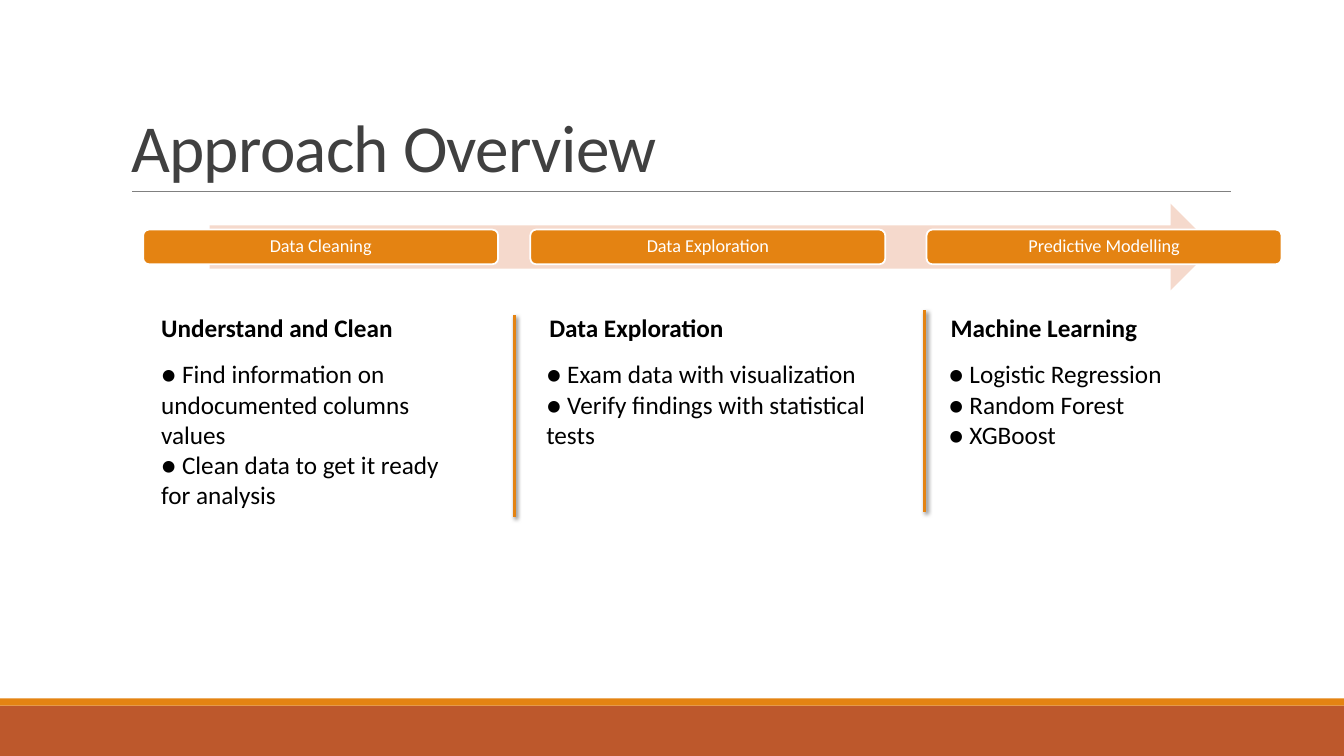
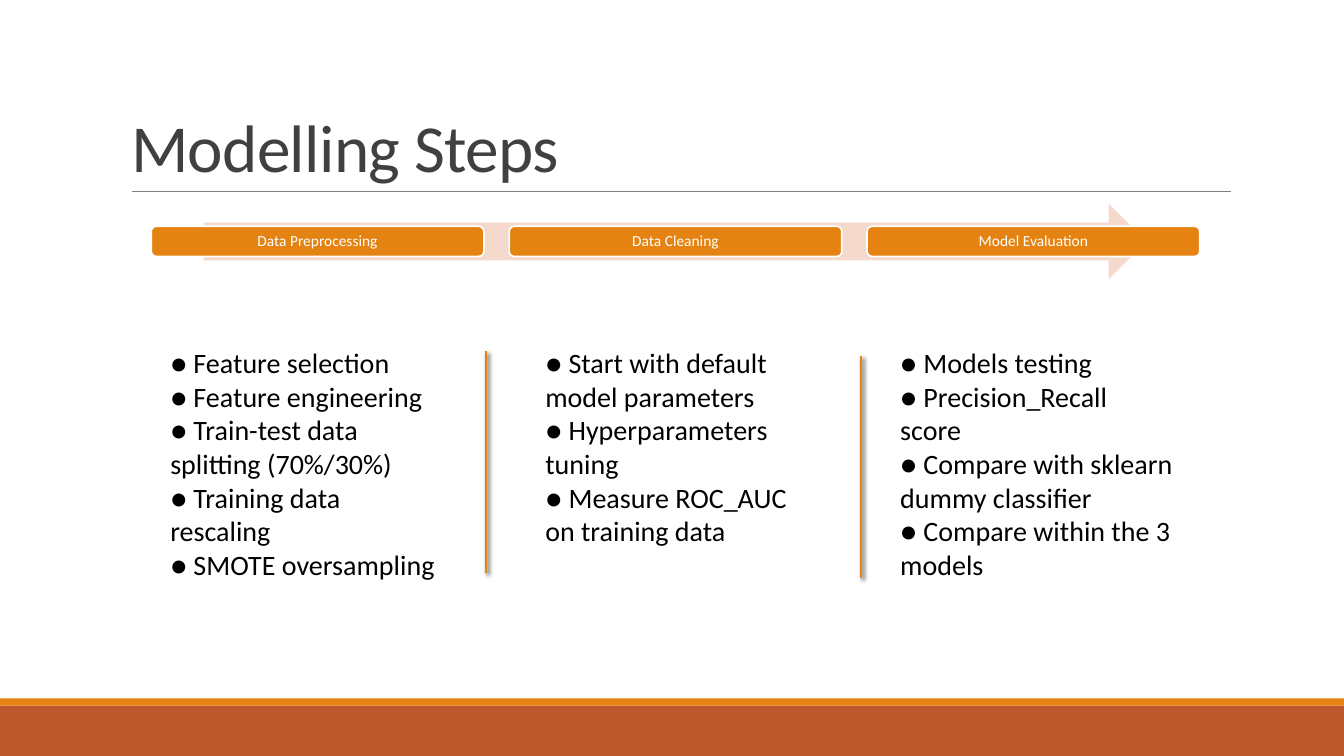
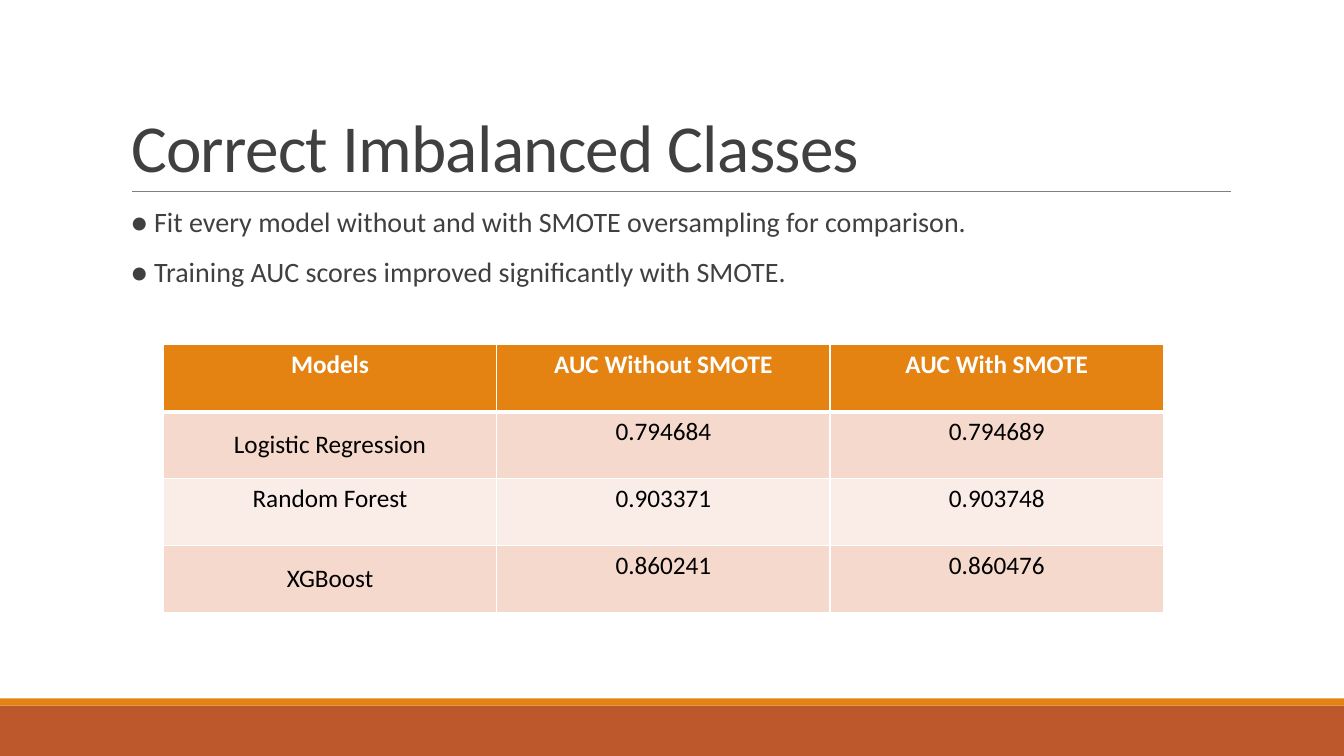
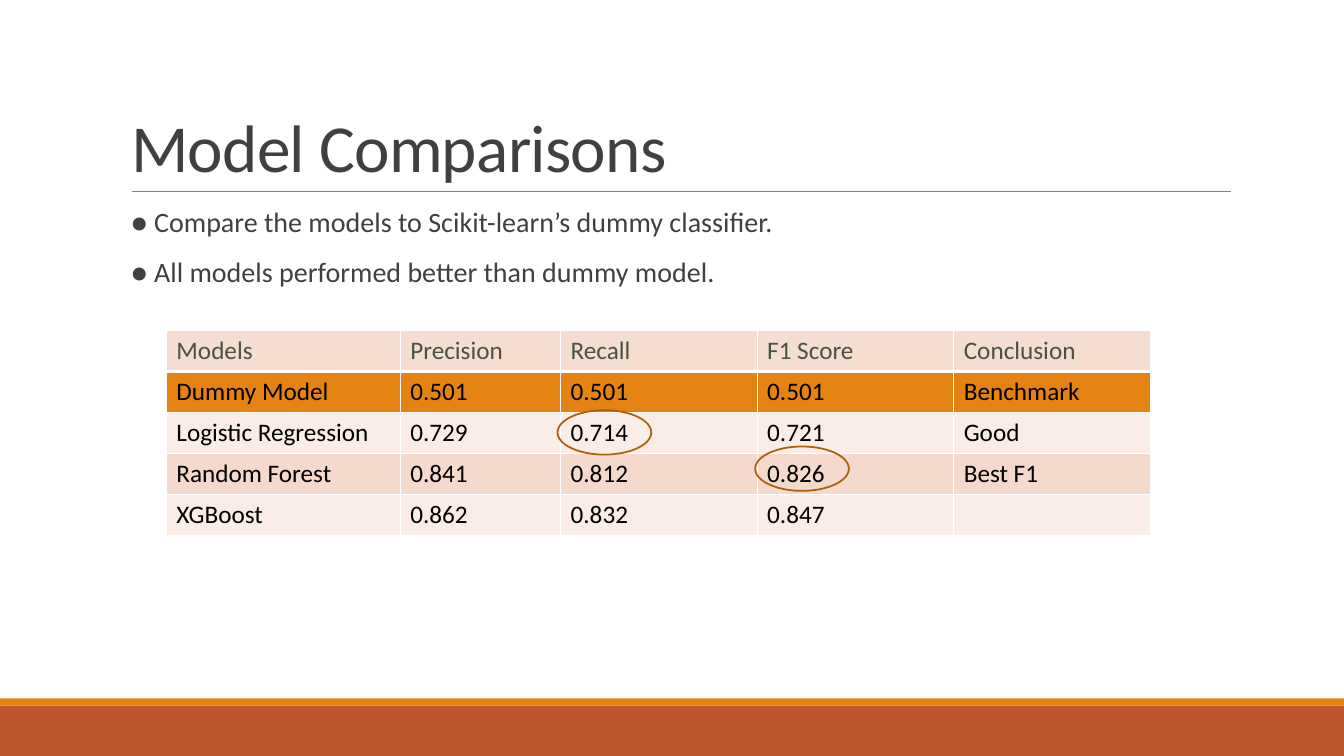
import lxml.etree
import pptx
import pptx.dml.color
import pptx.enum.shapes
import pptx.enum.text
import pptx.oxml.ns
import pptx.util

Inches = pptx.util.Inches
Pt = pptx.util.Pt
RGBColor = pptx.dml.color.RGBColor
MSO_SHAPE = pptx.enum.shapes.MSO_SHAPE
MSO_ANCHOR = pptx.enum.text.MSO_ANCHOR
PP_ALIGN = pptx.enum.text.PP_ALIGN
qn = pptx.oxml.ns.qn

FONT = "Calibri"
BLACK = RGBColor(0x00, 0x00, 0x00)
WHITE = RGBColor(0xFF, 0xFF, 0xFF)
GRAY = RGBColor(0x80, 0x80, 0x80)
CHARCOAL = RGBColor(0x40, 0x40, 0x40)
OLIVE = RGBColor(0x4A, 0x52, 0x42)
ORANGE = RGBColor(0xE4, 0x83, 0x12)
RUST = RGBColor(0xBD, 0x58, 0x2C)
BROWN = RGBColor(0xA9, 0x61, 0x0D)
PEACH = RGBColor(0xF5, 0xD9, 0xCC)
LIGHT_PEACH = RGBColor(0xFA, 0xED, 0xE7)
HEADER_PEACH = RGBColor(0xF5, 0xDD, 0xD2)

SLIDE_WIDTH, SLIDE_HEIGHT = 13.33, 7.5
TITLE_BOX = (1.2, 0.31, 11, 1.59)


def to_inches(box):
    """Convert a box of numbers to lengths."""
    return [Inches(value) for value in box]


def add_run(paragraph, text, size, color, bold=False):
    """Add one formatted run to a paragraph."""
    run = paragraph.add_run()
    run.text = text
    run.font.name = FONT
    run.font.size = Pt(size)
    run.font.color.rgb = color
    run.font.bold = bold
    return run


def add_box_shape(slide, kind, box, fill=None, line=None):
    """Add a preset shape with an optional fill and outline."""
    shape = slide.shapes.add_shape(kind, *to_inches(box))
    shape.shadow.inherit = False
    if fill is None:
        shape.fill.background()
    else:
        shape.fill.solid()
        shape.fill.fore_color.rgb = fill
    if line is None:
        shape.line.fill.background()
    else:
        shape.line.color.rgb = line
        shape.line.width = Pt(1.25)
    return shape


def add_line(slide, start, end, color, width, shadow=False):
    """Add a straight line, with a soft shadow if asked."""
    connector = slide.shapes.add_connector(
        pptx.enum.shapes.MSO_CONNECTOR.STRAIGHT, *to_inches(start + end))
    connector.line.color.rgb = color
    connector.line.width = Pt(width)
    effects = lxml.etree.SubElement(connector._element.spPr, qn("a:effectLst"))
    if shadow:
        outer = lxml.etree.SubElement(
            effects, qn("a:outerShdw"), blurRad=str(Pt(3)), dist=str(Pt(2)),
            dir="2700000", algn="tl", rotWithShape="0")
        shade = lxml.etree.SubElement(outer, qn("a:srgbClr"), val=str(BLACK))
        lxml.etree.SubElement(shade, qn("a:alpha"), val="60000")


def add_text(slide, box, lines, size, color=BLACK, bold=False):
    """Add a wrapping text box and return its paragraphs."""
    frame = slide.shapes.add_textbox(*to_inches(box)).text_frame
    frame.word_wrap = True
    for index, text in enumerate(lines):
        paragraph = frame.add_paragraph() if index else frame.paragraphs[0]
        add_run(paragraph, text, size, color, bold)
    return frame.paragraphs


def add_titled_slide(presentation, title):
    """Add a slide with the shared bands, rule and title."""
    slide = presentation.slides.add_slide(presentation.slide_layouts[5])
    add_box_shape(slide, MSO_SHAPE.RECTANGLE, (0, 7, SLIDE_WIDTH, 0.5), RUST)
    add_box_shape(slide, MSO_SHAPE.RECTANGLE, (0, 6.93, SLIDE_WIDTH, 0.07), ORANGE)
    add_line(slide, (1.31, 1.9), (12.21, 1.9), GRAY, 0.5)
    placeholder = slide.shapes.title
    placeholder.left, placeholder.top, placeholder.width, placeholder.height = to_inches(TITLE_BOX)
    frame = placeholder.text_frame
    frame.auto_size = pptx.enum.text.MSO_AUTO_SIZE.NONE
    frame.vertical_anchor = MSO_ANCHOR.BOTTOM
    paragraph = frame.paragraphs[0]
    paragraph.alignment = PP_ALIGN.LEFT
    paragraph.line_spacing = 0.85
    run = add_run(paragraph, title, 48, CHARCOAL)
    run.font._element.set("spc", "-50")
    return slide


def add_process_arrow(slide, box, steps, lefts, step_width, size):
    """Add a wide arrow with the process steps laid across it."""
    top, height = box[1], box[3]
    add_box_shape(slide, MSO_SHAPE.RIGHT_ARROW, box, PEACH)
    for step, left in zip(steps, lefts):
        step_box = (left, top + 0.3 * height, step_width, 0.4 * height)
        shape = add_box_shape(slide, MSO_SHAPE.ROUNDED_RECTANGLE, step_box, ORANGE, WHITE)
        frame = shape.text_frame
        frame.margin_left = frame.margin_right = Inches(0.05)
        frame.margin_top = frame.margin_bottom = Inches(0.05)
        frame.vertical_anchor = MSO_ANCHOR.MIDDLE
        paragraph = frame.paragraphs[0]
        paragraph.alignment = PP_ALIGN.CENTER
        paragraph.line_spacing = 0.9
        add_run(paragraph, step, size, WHITE)


def add_divider(slide, left, top, height):
    """Add a vertical divider between two columns."""
    add_line(slide, (left, top), (left, top + height), ORANGE, 2, shadow=True)


def add_findings(slide, lines):
    """Add the statements under the title rule."""
    for paragraph in add_text(slide, (1.2, 2.02, 11, 0.9), lines, 20, CHARCOAL):
        paragraph.line_spacing = 0.9
        paragraph.space_before = Pt(12)
        paragraph.space_after = Pt(2)


def set_borders(cell, top, bottom):
    """Draw white borders around a cell, in points."""
    properties = cell._tc.get_or_add_tcPr()
    for side, width in (("L", 1), ("R", 1), ("T", top), ("B", bottom)):
        border = lxml.etree.SubElement(properties, qn("a:ln" + side), w=str(Pt(width)))
        fill = lxml.etree.SubElement(border, qn("a:solidFill"))
        lxml.etree.SubElement(fill, qn("a:srgbClr"), val=str(WHITE))


def add_model_table(slide, box, widths, rows, fills, header_color,
                    header_bold=False, alignment=PP_ALIGN.LEFT, middle_cells=()):
    """Add a table with one fill per row and a thick rule under its header."""
    table = slide.shapes.add_table(len(rows), len(widths), *to_inches(box)).table
    table.first_row = table.horz_banding = False
    for column, width in zip(table.columns, widths):
        column.width = Inches(width)
    for row_index, texts in enumerate(rows):
        table.rows[row_index].height = Inches(box[3] / len(rows))
        header = row_index == 0
        for column_index, text in enumerate(texts):
            cell = table.cell(row_index, column_index)
            set_borders(cell, 3 if row_index == 1 else 1, 3 if header else 1)
            cell.fill.solid()
            cell.fill.fore_color.rgb = fills[row_index]
            if (row_index, column_index) in middle_cells:
                cell.vertical_anchor = MSO_ANCHOR.MIDDLE
            paragraph = cell.text_frame.paragraphs[0]
            paragraph.alignment = alignment
            if text:
                add_run(paragraph, text, 18, header_color if header else BLACK,
                        header and header_bold)


def build_approach(presentation):
    """Build the overview of the three phases."""
    slide = add_titled_slide(presentation, "Approach Overview")
    add_process_arrow(slide, (2.08, 2.02, 9.96, 0.86),
                      ["Data Cleaning", "Data Exploration", "Predictive Modelling"],
                      [1.42, 5.26, 9.19], 3.52, 13)
    columns = [
        (1.5, 1.5, 3.29, "Understand and Clean",
         ["● Find information on undocumented columns values",
          "● Clean data to get it ready for analysis"]),
        (5.35, 5.32, 3.52, "Data Exploration",
         ["● Exam data with visualization",
          "● Verify findings with statistical tests"]),
        (9.33, 9.31, 3.29, "Machine Learning",
         ["● Logistic Regression", "● Random Forest", "● XGBoost"]),
    ]
    for heading_left, left, width, heading, lines in columns:
        add_text(slide, (heading_left, 3.05, 3.29, 0.4), [heading], 18, bold=True)
        add_text(slide, (left, 3.51, width, 1.62), lines, 18)
    add_divider(slide, 5.1, 3.13, 2)
    add_divider(slide, 9.17, 3.08, 2)


def build_modelling(presentation):
    """Build the list of modelling steps."""
    slide = add_titled_slide(presentation, "Modelling Steps")
    add_process_arrow(slide, (2.02, 2.02, 9.35, 0.75),
                      ["Data Preprocessing", "Data Cleaning", "Model Evaluation"],
                      [1.5 + 3.55 * index for index in range(3)], 3.3, 11)
    columns = [
        (1.59, ["● Feature selection", "● Feature engineering",
                "● Train-test data splitting (70%/30%)",
                "● Training data rescaling", "● SMOTE oversampling"]),
        (5.31, ["● Start with default model parameters",
                "● Hyperparameters tuning",
                "● Measure ROC_AUC on training data"]),
        (8.83, ["● Models testing", "● Precision_Recall score",
                "● Compare with sklearn dummy classifier",
                "● Compare within the 3 models"]),
    ]
    for left, lines in columns:
        add_text(slide, (left, 3.38, 2.91, 2.46), lines, 20)
    add_divider(slide, 4.82, 3.48, 2.2)
    add_divider(slide, 8.54, 3.53, 2.2)


def build_imbalance(presentation):
    """Build the comparison with and without oversampling."""
    slide = add_titled_slide(presentation, "Correct Imbalanced Classes")
    add_findings(slide, [
        "● Fit every model without and with SMOTE oversampling for comparison.",
        "● Training AUC scores improved significantly with SMOTE."])
    rows = [
        ("Models", "AUC Without SMOTE", "AUC With SMOTE"),
        ("Logistic Regression", "0.794684", "0.794689"),
        ("Random Forest", "0.903371", "0.903748"),
        ("XGBoost", "0.860241", "0.860476"),
    ]
    add_model_table(slide, (1.62, 3.42, 9.92, 2.66), [9.92 / 3] * 3, rows,
                    [ORANGE, PEACH, LIGHT_PEACH, PEACH], WHITE, header_bold=True,
                    alignment=PP_ALIGN.CENTER, middle_cells={(1, 0), (3, 0)})


def build_comparison(presentation):
    """Build the scores of all models with the notable ones circled."""
    slide = add_titled_slide(presentation, "Model Comparisons")
    add_findings(slide, [
        "● Compare the models to Scikit-learn’s dummy classifier.",
        "● All models performed better than dummy model."])
    rows = [
        ("Models", "Precision", "Recall", "F1 Score", "Conclusion"),
        ("Dummy Model", "0.501", "0.501", "0.501", "Benchmark"),
        ("Logistic Regression", "0.729", "0.714", "0.721", "Good"),
        ("Random Forest", "0.841", "0.812", "0.826", "Best F1"),
        ("XGBoost", "0.862", "0.832", "0.847", ""),
    ]
    middle_cells = {(row, column) for row in range(1, 5) for column in range(1, 5)}
    add_model_table(slide, (1.65, 3.28, 9.77, 2.03), [2.32, 1.59, 1.95, 1.95, 1.95], rows,
                    [HEADER_PEACH, ORANGE, LIGHT_PEACH, PEACH, LIGHT_PEACH], OLIVE,
                    middle_cells=middle_cells)
    for left, top in ((5.53, 4.07), (7.49, 4.43)):
        add_box_shape(slide, MSO_SHAPE.OVAL, (left, top, 0.93, 0.44), line=BROWN)


def main():
    """Build and save the presentation."""
    presentation = pptx.Presentation()
    presentation.slide_width = Inches(SLIDE_WIDTH)
    presentation.slide_height = Inches(SLIDE_HEIGHT)
    build_approach(presentation)
    build_modelling(presentation)
    build_imbalance(presentation)
    build_comparison(presentation)
    presentation.save("out.pptx")


if __name__ == "__main__":
    main()
